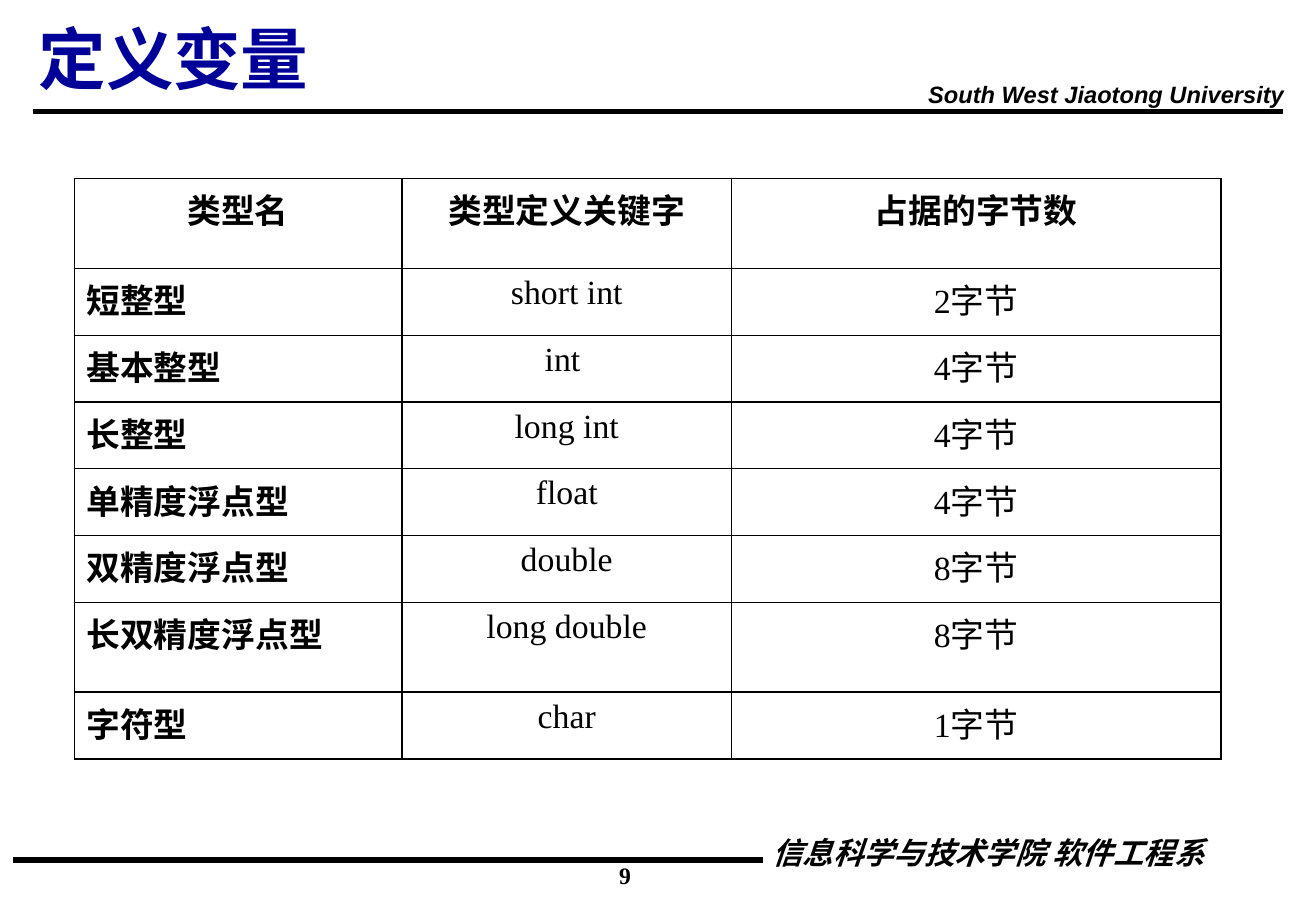
from lxml import etree
from pptx import Presentation
from pptx import util as u
from pptx.dml.color import RGBColor
from pptx.enum import shapes, text
from pptx.oxml.ns import qn

WIDTH, HEIGHT = u.Inches(10.83), u.Inches(7.5)
COLORS = {"ink": "000000", "title": "000099"}
SERIF, SANS, CJK = "Times New Roman", "Arial", "Noto Sans CJK SC"
LEFT, CENTER, RIGHT = (text.PP_ALIGN.LEFT, text.PP_ALIGN.CENTER,
                       text.PP_ALIGN.RIGHT)

COLUMN_WIDTHS = [24.93, 25.02, 37.21]
NORMAL_ROW, TALL_ROW = 7.33, 9.87
TALL_ROWS = (0, 6)
TYPES = [
    ("类型名", "类型定义关键字", "占据的字节数"),
    ("短整型", "short int", "2字节"),
    ("基本整型", "int ", "4字节"),
    ("长整型", "long int", "4字节"),
    ("单精度浮点型", "float", "4字节"),
    ("双精度浮点型", "double", "8字节"),
    ("长双精度浮点型", "long double", "8字节"),
    ("字符型", "char", "1字节"),
]


def px(percent):
    """Length as a percentage of the slide's width."""
    return round(WIDTH * percent / 100)


def py(percent):
    """Length as a percentage of the slide's height."""
    return round(HEIGHT * percent / 100)


def write(tf, words, size, font=SERIF, color="ink", bold=True, italic=False,
          align=LEFT, spacing=None):
    p = tf.paragraphs[0]
    p.alignment = align
    if spacing:
        p.line_spacing = spacing
    r = p.add_run()
    r.text = words
    r.font.name, r.font.size = font, u.Pt(size)
    r.font.bold, r.font.italic = bold, italic
    r.font.color.rgb = RGBColor.from_string(COLORS[color])
    east_asian = etree.Element(qn("a:ea"), typeface=CJK)
    r.font._element.find(qn("a:latin")).addnext(east_asian)


def add_text(slide, x, y, w, h, words, size, wrap=True,
             anchor=text.MSO_ANCHOR.TOP, **style):
    sp = slide.shapes.add_textbox(px(x), py(y), px(w), py(h))
    tf = sp.text_frame
    tf.word_wrap = wrap
    tf.vertical_anchor = anchor
    write(tf, words, size, **style)


def add_rule(slide, x1, x2, y):
    line = slide.shapes.add_connector(
        shapes.MSO_CONNECTOR.STRAIGHT, px(x1), py(y), px(x2), py(y))
    line.line.width = u.Pt(3)
    line.line.color.rgb = RGBColor.from_string(COLORS["ink"])
    etree.SubElement(line._element.spPr, qn("a:effectLst"))


def set_borders(cell, **widths):
    """Draw the sides L, R, T and B in the given point widths."""
    tc_pr = cell._tc.get_or_add_tcPr()
    for side, width in widths.items():
        ln = etree.SubElement(tc_pr, qn(f"a:ln{side}"), w=str(u.Pt(width)))
        fill = etree.SubElement(ln, qn("a:solidFill"))
        etree.SubElement(fill, qn("a:srgbClr"), val=COLORS["ink"])


def add_type_table(slide, x, y):
    heights = [TALL_ROW if i in TALL_ROWS else NORMAL_ROW
               for i in range(len(TYPES))]
    table = slide.shapes.add_table(
        len(TYPES), len(COLUMN_WIDTHS), px(x), py(y),
        px(sum(COLUMN_WIDTHS)), py(sum(heights))).table
    table.first_row = table.horz_banding = False
    for column, width in zip(table.columns, COLUMN_WIDTHS):
        column.width = px(width)
    last = len(COLUMN_WIDTHS) - 1
    for i, (row, height) in enumerate(zip(table.rows, heights)):
        row.height = py(height)
        for j, words in enumerate(TYPES[i]):
            cell = row.cells[j]
            set_borders(cell, L=0.75 if j == 0 else 1,
                        R=0.75 if j == last else 1, T=1, B=1)
            cell.fill.background()
            write(cell.text_frame, words, 20, bold=i == 0 or j == 0,
                  align=LEFT if i and j == 0 else CENTER)


def main():
    prs = Presentation()
    prs.slide_width, prs.slide_height = WIDTH, HEIGHT
    slide = prs.slides.add_slide(prs.slide_layouts[6])
    add_rule(slide, 97.51, 2.49, 12.27)
    add_text(slide, 69.62, 8.93, 28.99, 3.6, "South West Jiaotong University",
             14, wrap=False, font=SANS, italic=True, spacing=0.7)
    add_rule(slide, 57.99, 1.02, 94.4)
    add_text(slide, 48.57, 92, 43.86, 4.13, "信息科学与技术学院 软件工程系",
             18, font=CJK, italic=True, align=RIGHT, spacing=0.7)
    add_text(slide, 31.67, 93.87, 31.67, 4.4, "9", 14, align=CENTER)
    add_text(slide, 2.03, 1.6, 69.07, 9.47, "定义变量", 40, color="title",
             anchor=text.MSO_ANCHOR.MIDDLE)
    add_type_table(slide, 5.63, 19.6)
    prs.save("out.pptx")


if __name__ == "__main__":
    main()
